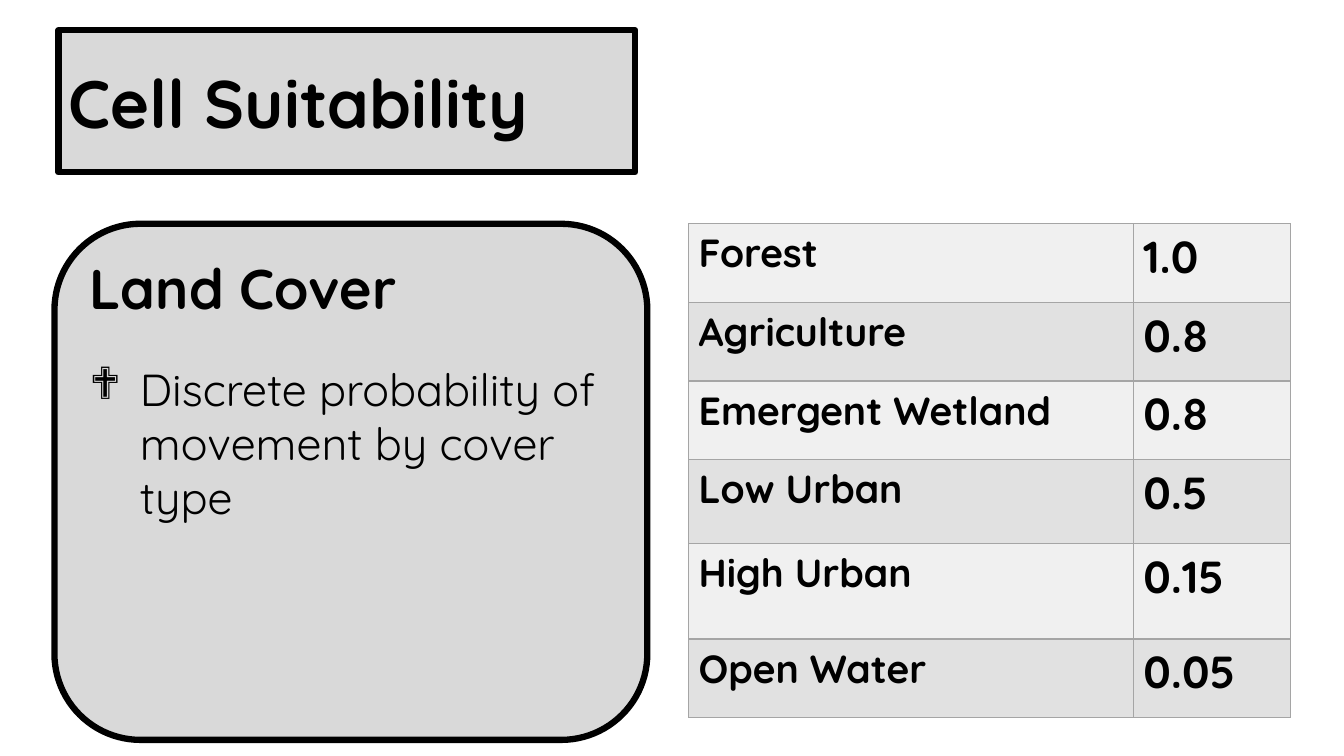
from dataclasses import dataclass

from lxml import etree
from pptx import Presentation
from pptx.dml.color import RGBColor
from pptx.enum import shapes, text
from pptx.oxml.ns import qn
from pptx.util import Inches, Pt

# Content
HEADING = "Cell Suitability"
TOPIC = "Land Cover"
TOPIC_POINT = "Discrete probability of movement by cover type"
SUITABILITY = [
    ("Forest", "1.0"),
    ("Agriculture", "0.8"),
    ("Emergent Wetland", "0.8"),
    ("Low Urban", "0.5"),
    ("High Urban", "0.15"),
    ("Open Water", "0.05"),
]
COLUMN_WIDTHS = (4.41, 1.56)
ROW_HEIGHTS = (0.78, 0.78, 0.78, 0.83, 0.95, 0.78)


@dataclass(frozen=True)
class Theme:
    font: str = "Quicksand"
    ink: str = "000000"
    panel: str = "D9D9D9"
    bands: tuple = ("F0F0F0", "E1E1E1")
    grid: str = "A5A5A5"
    heading: int = 48
    topic: int = 40
    body: int = 32
    cover: int = 28
    outline: float = 4.5


THEME = Theme()


def add_run(paragraph, words, size, bold=True):
    run = paragraph.add_run()
    run.text = words
    run.font.name = THEME.font
    run.font.size = Pt(size)
    run.font.bold = bold
    run.font.color.rgb = RGBColor.from_string(THEME.ink)
    paragraph.alignment = text.PP_ALIGN.LEFT


def style_panel(panel):
    panel.fill.solid()
    panel.fill.fore_color.rgb = RGBColor.from_string(THEME.panel)
    panel.line.color.rgb = RGBColor.from_string(THEME.ink)
    panel.line.width = Pt(THEME.outline)
    panel.text_frame.word_wrap = True


def add_bullet(paragraph, mark, indent):
    props = paragraph._p.get_or_add_pPr()
    props.set("marL", str(Inches(indent)))
    props.set("indent", str(-Inches(indent)))
    etree.SubElement(props, qn("a:buFont"), typeface="Wingdings")
    etree.SubElement(props, qn("a:buChar"), char=mark)


def style_cell(cell, band):
    props = cell._tc.get_or_add_tcPr()
    for side in ("lnL", "lnR", "lnT", "lnB"):
        border = etree.SubElement(props, qn(f"a:{side}"), w=str(Pt(1)))
        paint = etree.SubElement(border, qn("a:solidFill"))
        etree.SubElement(paint, qn("a:srgbClr"), val=THEME.grid)
    cell.fill.solid()
    cell.fill.fore_color.rgb = RGBColor.from_string(band)


deck = Presentation()
deck.slide_width, deck.slide_height = Inches(13.33), Inches(7.5)
slide = deck.slides.add_slide(deck.slide_layouts[5])

# Title in a rounded panel
title = slide.shapes.title
title.left, title.top = Inches(0.58), Inches(0.3)
title.width, title.height = Inches(5.72), Inches(1.41)
outline = etree.SubElement(title._element.spPr, qn("a:prstGeom"), prst="roundRect")
etree.SubElement(outline, qn("a:avLst"))
style_panel(title)
title.text_frame.vertical_anchor = text.MSO_ANCHOR.MIDDLE
add_run(title.text_frame.paragraphs[0], HEADING, THEME.heading)

# Land cover panel
topic = slide.shapes.add_shape(
    shapes.MSO_SHAPE.ROUNDED_RECTANGLE,
    Inches(0.54), Inches(2.22), Inches(5.88), Inches(5.12))
topic.shadow.inherit = False
style_panel(topic)
topic.text_frame.vertical_anchor = text.MSO_ANCHOR.TOP
add_run(topic.text_frame.paragraphs[0], TOPIC, THEME.topic)
point = topic.text_frame.add_paragraph()
add_bullet(point, "❖", 0.5)
point.space_before = Pt(29)
add_run(point, TOPIC_POINT, THEME.body, bold=False)

# Suitability table
table = slide.shapes.add_table(
    len(SUITABILITY), len(COLUMN_WIDTHS), Inches(6.83), Inches(2.22),
    Inches(sum(COLUMN_WIDTHS)), Inches(sum(ROW_HEIGHTS))).table
table.first_row = table.horz_banding = False
for column, width in zip(table.columns, COLUMN_WIDTHS):
    column.width = Inches(width)
for r, (entry, height) in enumerate(zip(SUITABILITY, ROW_HEIGHTS)):
    table.rows[r].height = Inches(height)
    for c, (words, size) in enumerate(zip(entry, (THEME.cover, THEME.body))):
        cell = table.cell(r, c)
        style_cell(cell, THEME.bands[r % 2])
        add_run(cell.text_frame.paragraphs[0], words, size)

deck.save("out.pptx")
